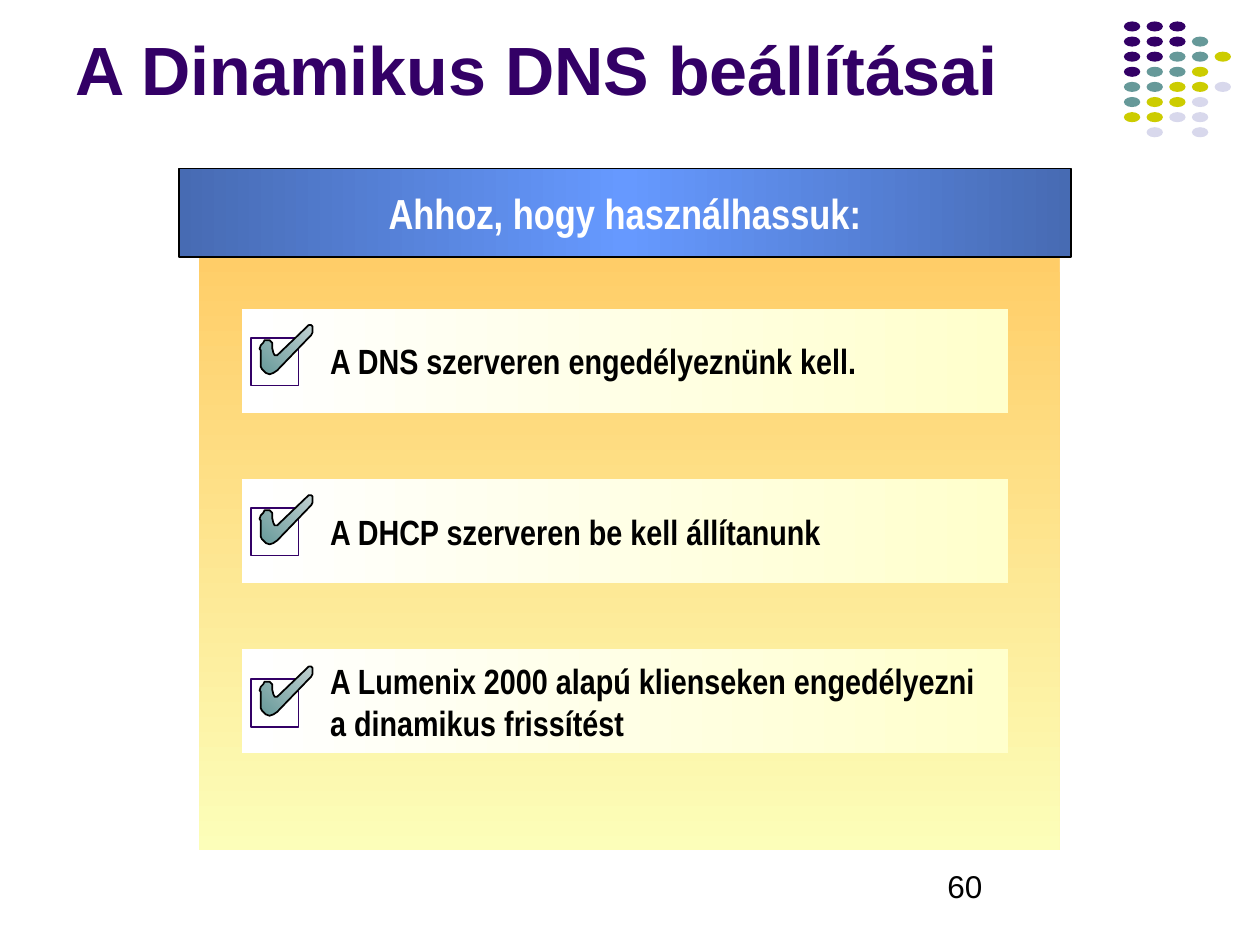
"""Build the slide listing the requirements for dynamic DNS."""
from copy import deepcopy
from dataclasses import dataclass

from pptx import Presentation
from pptx import util as u
from pptx.dml.color import RGBColor
from pptx.enum import shapes, text
from pptx.oxml.ns import qn

DOT_COLORS = {"P": "330066", "T": "669999", "Y": "CCCC00", "L": "D8D8EC"}
DOT_ROWS = ["PPP", "PPPT", "PPTTY", "PTTY", "TTYYL", "TYYL", "YYLL", " L L"]
CHECK_POINTS = [
    (1, 33), (1, 20), (0, 19), (1, 16), (3, 14), (4, 12), (6, 12), (8, 12),
    (10, 14), (10, 18), (11, 22), (12, 24), (14, 24), (38, 1), (39, 0),
    (41, 0), (42, 1), (42, 6), (41, 8), (40, 9), (14, 36), (11, 38),
    (8, 39), (5, 38), (3, 36), (2, 35),
]


@dataclass
class Box:
    left: float
    top: float
    width: float
    height: float

    def lengths(self) -> list[u.Length]:
        return [u.Inches(value) for value in
                (self.left, self.top, self.width, self.height)]


@dataclass
class Requirement:
    wording: str
    top: float
    check_top: float


REQUIREMENTS = [
    Requirement("A DNS szerveren engedélyeznünk kell.", 2.45, 2.68),
    Requirement("A DHCP szerveren be kell állítanunk", 3.8, 4.03),
    Requirement("A Lumenix 2000 alapú klienseken engedélyezni "
                "a dinamikus frissítést", 5.15, 5.39),
]


def color(value: str) -> RGBColor:
    return RGBColor.from_string(value)


def set_fill(shape, colors: list[str], angle: int = 0) -> None:
    if len(colors) == 1:
        shape.fill.solid()
        shape.fill.fore_color.rgb = color(colors[0])
        return
    shape.fill.gradient()
    shape.fill.gradient_angle = (360 - angle) % 360
    stop_list = shape._element.spPr.find(".//" + qn("a:gsLst"))
    while len(stop_list) < len(colors):
        stop_list.append(deepcopy(stop_list[0]))
    for index, stop in enumerate(shape.fill.gradient_stops):
        stop.position = index / (len(colors) - 1)
        stop.color.rgb = color(colors[index])


def set_line(shape, line: str | None, width: float = 1) -> None:
    shape.shadow.inherit = False
    if line is None:
        shape.line.fill.background()
    else:
        shape.line.color.rgb = color(line)
        shape.line.width = u.Pt(width)


def add_preset(parent, kind, box: Box, colors: list[str], angle: int = 0,
               line: str | None = None, width: float = 1):
    shape = parent.add_shape(kind, *box.lengths())
    set_fill(shape, colors, angle)
    set_line(shape, line, width)
    return shape


def write(shape, wording: str, font: str, size: float, ink: str,
          bold: bool = True, align=text.PP_ALIGN.LEFT,
          anchor=text.MSO_ANCHOR.MIDDLE, left: float = 0.1,
          right: float = 0.1) -> None:
    frame = shape.text_frame
    frame.word_wrap = True
    frame.auto_size = text.MSO_AUTO_SIZE.NONE
    frame.vertical_anchor = anchor
    frame.margin_left, frame.margin_right = u.Inches(left), u.Inches(right)
    frame.margin_top = frame.margin_bottom = u.Inches(0.05)
    frame.text = wording
    paragraph = frame.paragraphs[0]
    paragraph.alignment = align
    paragraph.font.name = font
    paragraph.font.size = u.Pt(size)
    paragraph.font.bold = bold
    paragraph.font.color.rgb = color(ink)


def add_dots(slide) -> None:
    group = slide.shapes.add_group_shape()
    for row, codes in enumerate(DOT_ROWS):
        for column, code in enumerate(codes):
            if code in DOT_COLORS:
                box = Box(8.92 + 0.18 * column, 0.17 + 0.12 * row, 0.13, 0.08)
                add_preset(group.shapes, shapes.MSO_SHAPE.OVAL, box,
                           [DOT_COLORS[code]])


def add_checkbox(slide, left: float, top: float) -> None:
    group = slide.shapes.add_group_shape()
    add_preset(group.shapes, shapes.MSO_SHAPE.RECTANGLE,
               Box(left, top, 0.38, 0.38), ["FFFFFF"], line="330066")
    builder = group.shapes.build_freeform(*CHECK_POINTS[0],
                                          scale=u.Inches(0.01))
    builder.add_line_segments(CHECK_POINTS[1:], close=True)
    check = builder.convert_to_shape(u.Inches(left + 0.07),
                                     u.Inches(top - 0.1))
    set_fill(check, ["C0D0D0", "669999"], 135)
    set_line(check, "000000")


def add_requirement(slide, requirement: Requirement) -> None:
    panel = add_preset(slide.shapes, shapes.MSO_SHAPE.RECTANGLE,
                       Box(1.92, requirement.top, 6.08, 0.83),
                       ["FFFFCC", "FFFFFF"], 180)
    write(panel, requirement.wording, "Arial Narrow", 20, "000000", left=0.7)


def main() -> None:
    presentation = Presentation()
    presentation.slide_width = u.Inches(10)
    presentation.slide_height = u.Inches(7.5)
    slide = presentation.slides.add_slide(presentation.slide_layouts[5])

    title = slide.shapes.title
    title.left, title.top, title.width, title.height = Box(
        0.5, 0, 8.32, 0.92).lengths()
    write(title, "A Dinamikus DNS beállításai", "Arial", 39, "330066",
          anchor=text.MSO_ANCHOR.BOTTOM)

    add_dots(slide)
    number = slide.shapes.add_textbox(*Box(7.42, 6.83, 2.33, 0.5).lengths())
    write(number, "60", "Arial", 18, "000000", bold=False,
          anchor=text.MSO_ANCHOR.TOP)

    rectangle = shapes.MSO_SHAPE.RECTANGLE
    add_preset(slide.shapes, rectangle, Box(1.58, 1.92, 6.83, 4.83),
               ["FFCC66", "FCFEB9"], 90)
    header = add_preset(slide.shapes, rectangle, Box(1.42, 1.34, 7.08, 0.7),
                        ["476BB3", "6699FF", "476BB3"], 180, "000000", 0.75)
    write(header, "Ahhoz, hogy használhassuk:", "Arial Narrow", 24, "FFFFFF",
          align=text.PP_ALIGN.CENTER, left=0.05, right=0.05)

    for requirement in REQUIREMENTS:
        add_requirement(slide, requirement)
    for requirement in REQUIREMENTS:
        add_checkbox(slide, 1.99, requirement.check_top)

    presentation.save("out.pptx")


if __name__ == "__main__":
    main()
